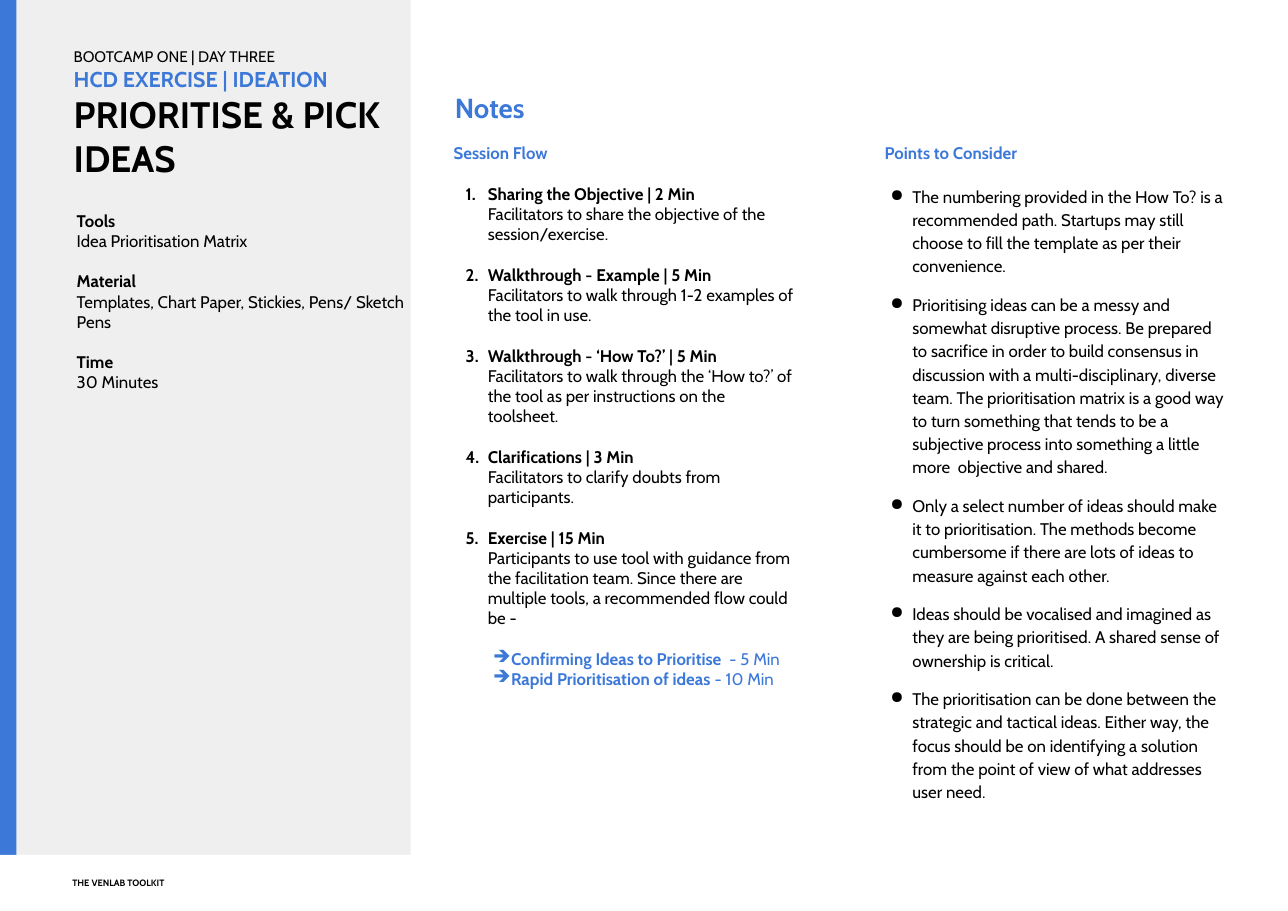
from lxml.etree import SubElement
from pptx import Presentation
from pptx.dml.color import RGBColor
from pptx.enum.shapes import MSO_SHAPE as Preset
from pptx.enum.text import MSO_ANCHOR as Anchor, MSO_AUTO_SIZE as AutoSize, PP_ALIGN as Align
from pptx.oxml.ns import qn
from pptx.util import Cm, Pt

BLUE = RGBColor(0x3C, 0x78, 0xD8)
BLACK = RGBColor(0, 0, 0)
GREY = RGBColor(0xEF, 0xEF, 0xEF)
WHITE = RGBColor(0xFF, 0xFF, 0xFF)
FONT = "Cabin"
LINE_GAP = 13.2
BREAK = None

NUMBERED = {"left": 0.79, "hanging": 0.51, "kind": "buAutoNum",
            "values": {"type": "arabicPeriod"}, "color": BLACK}
ARROWED = {"left": 1.27, "hanging": 0.36, "kind": "buChar",
           "values": {"char": "➔"}, "color": BLUE}
DOTTED = {"left": 0.64, "hanging": 0.51, "kind": "buChar",
          "values": {"char": "●"}, "color": BLACK}

RESOURCES = [
    ("Tools", "Idea Prioritisation Matrix"),
    ("Material", "Templates, Chart Paper, Stickies, Pens/ Sketch Pens"),
    ("Time", "30 Minutes"),
]
SESSION_STEPS = [
    ("Sharing the Objective | 2 Min",
     "Facilitators to share the objective of the session/exercise."),
    ("Walkthrough - Example | 5 Min",
     "Facilitators to walk through 1-2 examples of the tool in use."),
    ("Walkthrough - ‘How To?’ | 5 Min",
     "Facilitators to walk through the ‘How to?’ of the tool as per instructions "
     "on the toolsheet."),
    ("Clarifications | 3 Min",
     "Facilitators to clarify doubts from participants."),
    ("Exercise | 15 Min",
     "Participants to use tool with guidance from the facilitation team. Since there "
     "are multiple tools, a recommended flow could be -"),
]
EXERCISE_FLOW = [
    ("Confirming Ideas to Prioritise  ", "- 5 Min"),
    ("Rapid Prioritisation of ideas", " - 10 Min"),
]
POINTS = [
    "The numbering provided in the How To? is a recommended path. Startups may still "
    "choose to fill the template as per their convenience.",
    "Prioritising ideas can be a messy and somewhat disruptive process. Be prepared to "
    "sacrifice in order to build consensus in discussion with a multi-disciplinary, "
    "diverse team. The prioritisation matrix is a good way to turn something that tends "
    "to be a subjective process into something a little more  objective and shared.",
    "Only a select number of ideas should make it to prioritisation. The methods become "
    "cumbersome if there are lots of ideas to measure against each other.",
    "Ideas should be vocalised and imagined as they are being prioritised. A shared "
    "sense of ownership is critical.",
    "The prioritisation can be done between the strategic and tactical ideas. Either "
    "way, the focus should be on identifying a solution from the point of view of what "
    "addresses  user need.",
]


def set_attributes(target, values):
    for name, value in values.items():
        setattr(target, name, value)


def add_panel(slide, left, top, width, height, color):
    panel = slide.shapes.add_shape(Preset.RECTANGLE, Cm(left), Cm(top), Cm(width), Cm(height))
    panel.shadow.inherit = False
    panel.fill.solid()
    panel.fill.fore_color.rgb = color
    panel.line.fill.background()


def format_frame(frame, inset, anchor):
    sides = ("margin_left", "margin_top", "margin_right", "margin_bottom")
    set_attributes(frame, {
        "word_wrap": True, "auto_size": AutoSize.NONE, "vertical_anchor": anchor,
        **dict.fromkeys(sides, Cm(inset)),
    })


def add_text_frame(slide, left, top, width, height, inset=0.25, anchor=Anchor.TOP):
    box = slide.shapes.add_textbox(Cm(left), Cm(top), Cm(width), Cm(height))
    format_frame(box.text_frame, inset, anchor)
    return box.text_frame


def add_bullet(paragraph, bullet):
    properties = paragraph._p.get_or_add_pPr()
    properties.set("marL", str(Cm(bullet["left"])))
    properties.set("indent", str(-Cm(bullet["hanging"])))
    color = SubElement(properties, qn("a:buClr"))
    SubElement(color, qn("a:srgbClr"), val=str(bullet["color"]))
    SubElement(properties, qn("a:" + bullet["kind"]), **bullet["values"])


def write(frame, *runs, size=11, color=BLACK, before=0, spacing=None, bullet=None):
    """Add a paragraph of (text, bold) runs, where BREAK starts a new line."""
    first = frame.paragraphs[0]
    paragraph = frame.add_paragraph() if first.runs else first
    if bullet:
        add_bullet(paragraph, bullet)
    set_attributes(paragraph, {
        "alignment": Align.LEFT, "space_before": Pt(before), "line_spacing": spacing,
    })
    for part in runs:
        if part is BREAK:
            paragraph.add_line_break()
            continue
        run = paragraph.add_run()
        run.text, bold = part
        set_attributes(run.font, {"name": FONT, "size": Pt(size), "bold": bold})
        run.font.color.rgb = color


def place_title(slide):
    title = slide.shapes.title
    set_attributes(title, {
        "left": Cm(1.37), "top": Cm(0.71), "width": Cm(7.92), "height": Cm(3.76),
    })
    slide.shapes.element.append(title.element)  # bring in front of the side panel
    frame = title.text_frame
    format_frame(frame, 0.33, Anchor.BOTTOM)
    write(frame, ("BOOTCAMP ONE | DAY THREE", False), size=10)
    write(frame, ("HCD EXERCISE | IDEATION", True), size=14, color=BLUE)
    write(frame, ("PRIORITISE & PICK IDEAS", True), size=24)


def add_resources(slide):
    frame = add_text_frame(slide, 1.52, 4.6, 8.33, 5.44)
    for index, (label, detail) in enumerate(RESOURCES):
        write(frame, (label, True), before=LINE_GAP if index else 0)
        write(frame, (detail, False))


def add_session_flow(slide):
    frame = add_text_frame(slide, 10.13, 2.97, 8.53, 14.6, inset=0.33)
    write(frame, ("Session Flow", True), color=BLUE)
    for step, detail in SESSION_STEPS:
        write(frame, (step, True), BREAK, (detail, False), before=LINE_GAP, bullet=NUMBERED)
    for index, (activity, duration) in enumerate(EXERCISE_FLOW):
        write(frame, (activity, True), (duration, False), color=BLUE,
              before=0 if index else LINE_GAP, bullet=ARROWED)


def add_points(slide):
    frame = add_text_frame(slide, 20.07, 2.97, 8.53, 16.18, inset=0.33)
    write(frame, ("Points to Consider", True), color=BLUE)
    for index, point in enumerate(POINTS):
        write(frame, (point, False), before=10 if index else LINE_GAP,
              spacing=1.15, bullet=DOTTED)


def main():
    deck = Presentation()
    set_attributes(deck, {"slide_width": Cm(29.7), "slide_height": Cm(21)})
    slide = deck.slides.add_slide(deck.slide_layouts[5])

    add_panel(slide, 0, 0, 9.47, 21, GREY)
    add_panel(slide, 0, 0, 0.38, 21, BLUE)
    add_panel(slide, 0, 19.71, 29.7, 1.29, WHITE)
    place_title(slide)
    add_resources(slide)

    notes = add_text_frame(slide, 10.24, 1.6, 8.33, 1.75, anchor=Anchor.MIDDLE)
    write(notes, ("Notes", True), size=18, color=BLUE)
    add_session_flow(slide)
    add_points(slide)

    footer = add_text_frame(slide, 1.42, 19.99, 11.71, 0.74, anchor=Anchor.BOTTOM)
    write(footer, ("THE VENLAB TOOLKIT", True), size=6)
    deck.save("out.pptx")


if __name__ == "__main__":
    main()
